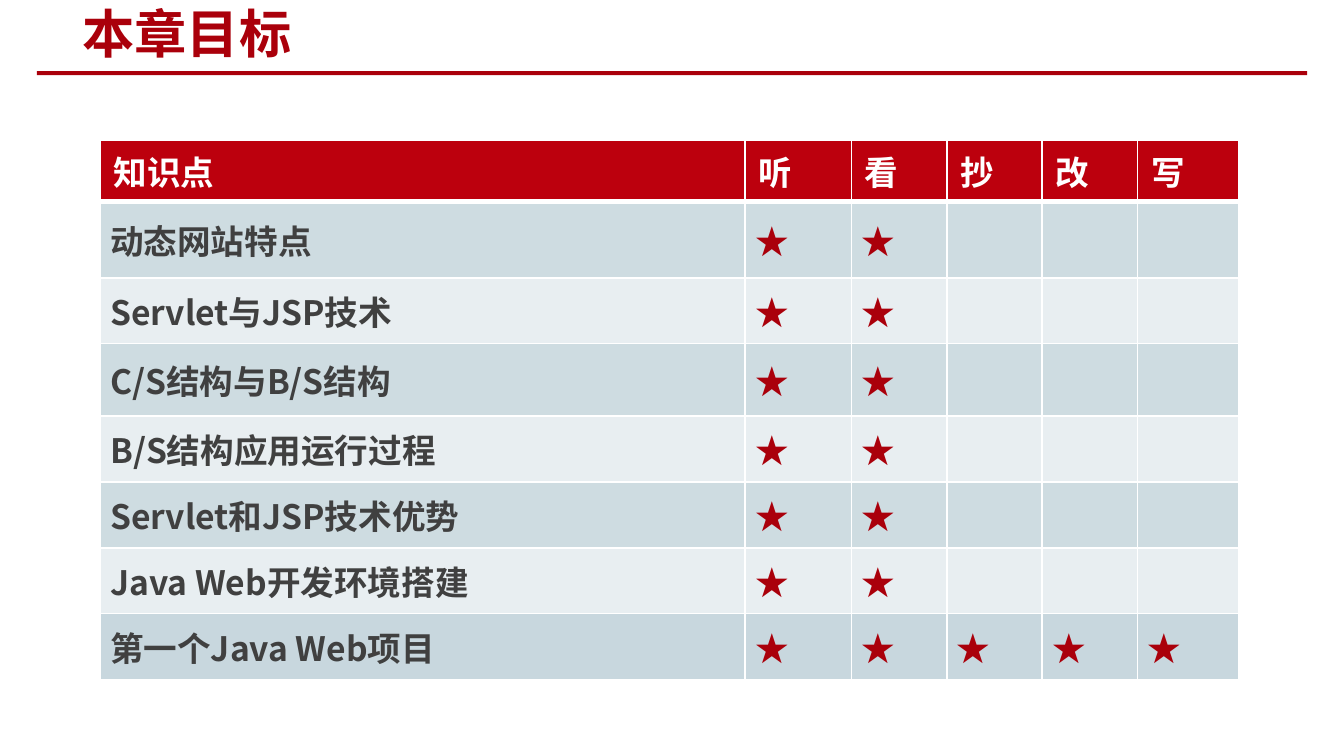
import pptx
import pptx.util
import pptx.dml.color
import pptx.enum.text
import pptx.enum.shapes
import pptx.oxml
import pptx.oxml.ns
import lxml.etree

HUES = {
    "red": "AA000B", "head": "BC000D", "dark": "404040", "white": "FFFFFF",
    "band": "CEDCE1", "pale": "E8EEF1", "last": "C8D7DE",
}
FONT = "Noto Sans CJK SC"
MID = pptx.enum.text.MSO_ANCHOR.MIDDLE
TOP = pptx.enum.text.MSO_ANCHOR.TOP
qn = pptx.oxml.ns.qn


def rgb(name):
    return pptx.dml.color.RGBColor.from_string(HUES[name])


def put(frame, text, size=18, hue="dark", bold=True):
    para = frame.paragraphs[0]
    para.alignment = pptx.enum.text.PP_ALIGN.LEFT
    run = para.add_run()
    run.text = text
    run.font.size = pptx.util.Pt(size)
    run.font.bold = bold
    run.font.name = FONT
    run.font.color.rgb = rgb(hue)
    east = lxml.etree.SubElement(run.font._element, qn("a:ea"))
    east.set("typeface", FONT)


deck = pptx.Presentation()
deck.slide_width = pptx.util.Inches(10)
deck.slide_height = deck.slide_width * 9 // 16
unit = deck.slide_width // 100
slide = deck.slides.add_slide(deck.slide_layouts[5])

rule = slide.shapes.add_shape(
    pptx.enum.shapes.MSO_SHAPE.RECTANGLE,
    *[int(n * unit) for n in (2.75, 5.3, 94.5, 0.3)])
rule.shadow.inherit = False
rule.fill.solid()
rule.fill.fore_color.rgb = rgb("red")
rule.line.fill.background()

title = slide.shapes.title
title.left, title.top, title.width, title.height = [
    int(n * unit) for n in (5.15, 0.2, 53, 4.5)]
title.text_frame.auto_size = pptx.enum.text.MSO_AUTO_SIZE.NONE
title.text_frame.vertical_anchor = MID
put(title.text_frame, "本章目标", size=28, hue="red")

heads = ["知识点", "听", "看", "抄", "改", "写"]
goals = [
    ("动态网站特点", 2), ("Servlet与JSP技术", 2), ("C/S结构与B/S结构", 2),
    ("B/S结构应用运行过程", 2), ("Servlet和JSP技术优势", 2),
    ("Java Web开发环境搭建", 2), ("第一个Java Web项目", 5),
]
rows = [heads] + [[goal] + ["★"] * n + [""] * (5 - n) for goal, n in goals]
fills = ["head"] + ["band", "pale"] * 3 + ["last"]
wide = [48, 7.9, 7.1, 7.1, 7.1, 7.55]
tall = [4.6, 5.65, 4.9, 5.4] + [4.9] * 4

grid = slide.shapes.add_table(
    len(rows), len(wide), int(7.45 * unit), int(10.4 * unit),
    int(sum(wide) * unit), int(sum(tall) * unit)).table
for col, size in zip(grid.columns, wide):
    col.width = int(size * unit)
for row, size in zip(grid.rows, tall):
    row.height = int(size * unit)

for r, row in enumerate(rows):
    for c, text in enumerate(row):
        cell = grid.cell(r, c)
        side, edge = (1, 0.5) if r == 0 else (0.75, 0)
        cell.margin_left = cell.margin_right = int(side * unit)
        cell.margin_top = cell.margin_bottom = int(edge * unit)
        cell.vertical_anchor = MID if r else TOP
        for tag in ("lnL", "lnR", "lnT", "lnB"):
            thick = (r, tag) in ((0, "lnB"), (1, "lnT"))
            line = lxml.etree.SubElement(cell._tc.tcPr, qn("a:" + tag))
            line.set("w", str(pptx.util.Pt(3 if thick else 1)))
            paint = lxml.etree.SubElement(line, qn("a:solidFill"))
            lxml.etree.SubElement(paint, qn("a:srgbClr")).set("val", HUES["white"])
        cell.fill.solid()
        cell.fill.fore_color.rgb = rgb(fills[r])
        if text:
            hue = "white" if r == 0 else "red" if c else "dark"
            put(cell.text_frame, text, hue=hue)

deck.save("out.pptx")
